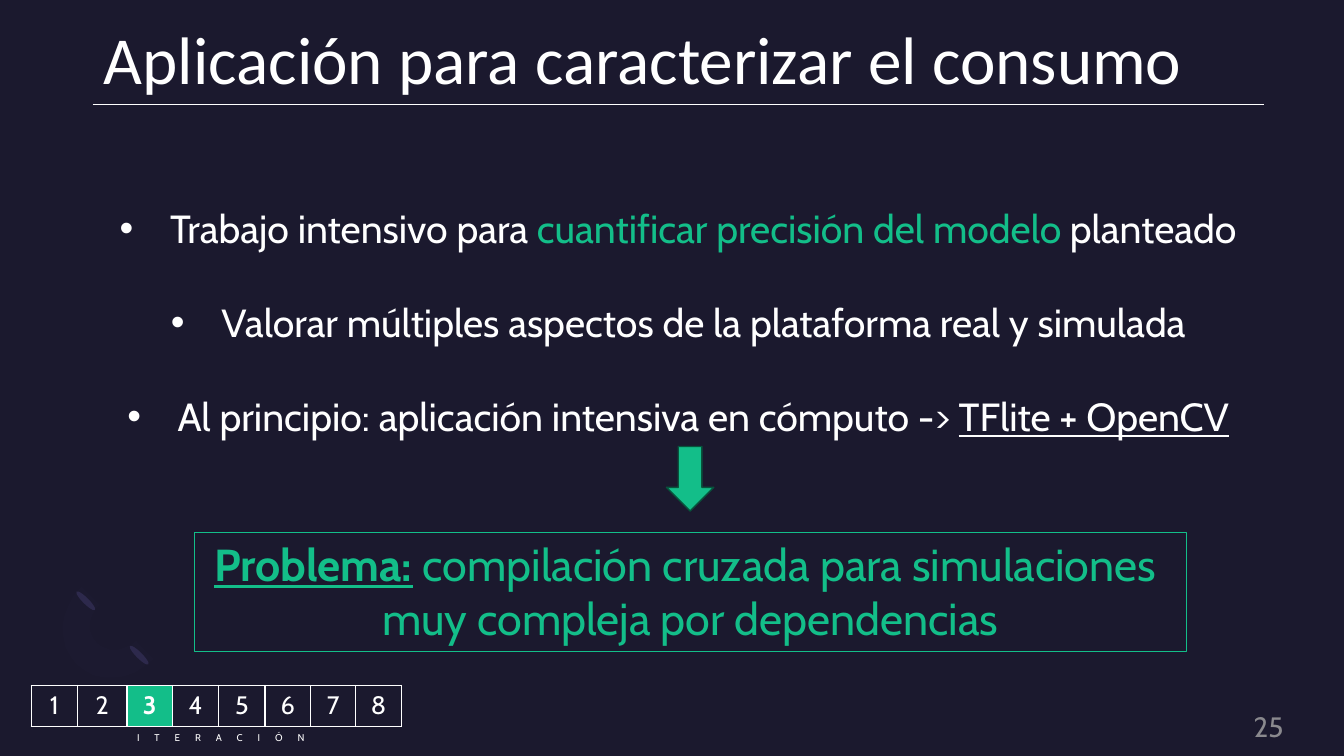
from lxml import etree
from pptx import Presentation
from pptx import util as u
from pptx.dml.color import RGBColor
from pptx.enum import shapes, text
from pptx.oxml.ns import qn

PX = 9144
COLOURS = {
    "night": "1B192E",
    "white": "FFFFFF",
    "green": "13BE89",
    "pine": "08533C",
    "grey": "A6A6A6",
    "violet": "2C284A",
    "lilac": "7771B2",
}
ALIGN = text.PP_ALIGN
FRAME = {"word_wrap": True, "auto_size": text.MSO_AUTO_SIZE.NONE}
FLUSH = dict.fromkeys(("margin_left", "margin_top", "margin_right", "margin_bottom"), 0)
COLUMNS = (46, 49, 45, 46, 46, 45, 45, 45)
CURRENT_ITERATION = 3
RING_START = (76, 659)
RING = (
    ((56, 639), (58, 605), (81, 582)),
    ((99, 600),),
    ((87, 611), (86, 629), (96, 638)),
    ((106, 648), (123, 647), (135, 636)),
    ((152, 654),),
    ((130, 676), (95, 679), (76, 659)),
)


def px(*lengths):
    return [u.Emu(length * PX) for length in lengths]


def rgb(name):
    return RGBColor.from_string(COLOURS[name])


def apply(target, values):
    for name, value in values.items():
        setattr(target, name, value)


def paint(fill, colour):
    if colour is None:
        fill.background()
    else:
        fill.solid()
        fill.fore_color.rgb = rgb(colour)


def fade(element, percent):
    for colour in element.iter(qn("a:srgbClr")):
        etree.SubElement(colour, qn("a:alpha"), val=str(percent * 1000))


def place(shape, box):
    apply(shape, dict(zip(("left", "top", "width", "height"), px(*box))))


def add_span(para, words, size, colour="white", font="Cabin", **extra):
    span = para.add_run()
    span.text = words
    apply(span.font, {"name": font, "size": u.Pt(size), **extra})
    span.font.color.rgb = rgb(colour)
    return span


def add_label(page, box, words, size, colour, align, **frame):
    label = page.shapes.add_textbox(*px(*box))
    apply(label.text_frame, {**FRAME, **frame})
    para = label.text_frame.paragraphs[0]
    para.alignment = align
    return label, add_span(para, words, size, colour)


def add_preset(page, kind, box, fill=None, line=None, weight=1, rotation=0):
    shape = page.shapes.add_shape(kind, *px(*box))
    shape.shadow.inherit = False
    shape.rotation = rotation
    paint(shape.fill, fill)
    paint(shape.line.fill, line)
    if line:
        shape.line.width = u.Pt(weight)
    return shape


def add_ring(page):
    points, pen = [], RING_START
    for segment in RING:
        if len(segment) == 1:
            points += segment
        else:
            curve = (pen, *segment)
            for step in range(1, 9):
                t = step / 8
                weights = ((1 - t) ** 3, 3 * t * (1 - t) ** 2, 3 * t * t * (1 - t), t ** 3)
                points.append(tuple(sum(w * p[axis] for w, p in zip(weights, curve)) for axis in (0, 1)))
        pen = segment[-1]
    builder = page.shapes.build_freeform(*RING_START, scale=PX)
    builder.add_line_segments(points, close=True)
    ring = builder.convert_to_shape()
    ring.shadow.inherit = False
    paint(ring.fill, "lilac")
    ring.line.fill.background()
    fade(ring.element, 2)


def add_title(page, words):
    title = page.shapes.title
    place(title, (103, 26, 1165, 71))
    apply(title.text_frame, {**FRAME, **FLUSH, "vertical_anchor": text.MSO_ANCHOR.TOP})
    para = title.text_frame.paragraphs[0]
    apply(para, {"alignment": ALIGN.LEFT, "line_spacing": 0.9})
    add_span(para, words, 48, font="Calibri")
    rule = page.shapes.add_connector(shapes.MSO_CONNECTOR.STRAIGHT, *px(92, 104, 1254, 104))
    rule.line.width = u.Pt(0.5)
    paint(rule.line.fill, "white")
    etree.SubElement(rule.element.spPr, qn("a:effectLst"))


def add_bullets(page, items):
    body = page.placeholders[1]
    place(body, (61, 151, 1223, 279))
    apply(body.text_frame, FRAME)
    for index, spans in enumerate(items):
        para = body.text_frame.add_paragraph() if index else body.text_frame.paragraphs[0]
        apply(para, {"alignment": ALIGN.CENTER, "line_spacing": 2.0, "space_before": u.Pt(0)})
        properties = para._p.get_or_add_pPr()
        properties.set("marL", str(50 * PX))
        properties.set("indent", str(-50 * PX))
        etree.SubElement(properties, qn("a:buFont"), typeface="Arial")
        etree.SubElement(properties, qn("a:buChar"), char="•")
        for words, values in spans:
            add_span(para, words, 28, **values)


def add_problem(page):
    add_preset(page, shapes.MSO_SHAPE.DOWN_ARROW, (661, 443, 47, 64), "green", "pine")
    box = add_preset(page, shapes.MSO_SHAPE.RECTANGLE, (193, 528, 984, 118), line="green", weight=0.75)
    apply(box.text_frame, {**FRAME, "vertical_anchor": text.MSO_ANCHOR.TOP})
    para = box.text_frame.paragraphs[0]
    para.alignment = ALIGN.CENTER
    add_span(para, "Problema:", 32, "green", bold=True, underline=True)
    add_span(para, " compilación cruzada para simulaciones ", 32, "green")
    para.add_line_break()
    add_span(para, "muy compleja por dependencias", 32, "green")


def add_borders(cell):
    properties = cell._tc.get_or_add_tcPr()
    for side in ("lnL", "lnR", "lnT", "lnB"):
        line = etree.SubElement(properties, qn(f"a:{side}"), w=str(u.Pt(1)))
        fill = etree.SubElement(line, qn("a:solidFill"))
        etree.SubElement(fill, qn("a:srgbClr"), val=COLOURS["white"])


def add_tracker(page):
    frame = page.shapes.add_table(1, len(COLUMNS), *px(31, 680, sum(COLUMNS), 40))
    table = frame.table
    apply(table, {"first_row": False, "horz_banding": False})
    for index, width in enumerate(COLUMNS):
        table.columns[index].width = px(width)[0]
        cell = table.cell(0, index)
        current = index + 1 == CURRENT_ITERATION
        add_borders(cell)
        paint(cell.fill, "green" if current else None)
        para = cell.text_frame.paragraphs[0]
        para.alignment = ALIGN.CENTER
        add_span(para, str(index + 1), 18, bold=current)
    caption, span = add_label(page, (36, 721, 366, 22), "ITERACIÓN", 7, "white", ALIGN.CENTER)
    span.font._element.set("spc", "1070")


def main():
    deck = Presentation()
    deck.slide_width, deck.slide_height = px(1333, 750)
    page = deck.slides.add_slide(deck.slide_layouts[1])
    paint(page.background.fill, "night")
    for left, top in ((135, 637), (82, 583)):
        add_preset(page, shapes.MSO_SHAPE.OVAL, (left, top, 6, 26), "violet", rotation=135)
    add_ring(page)
    number, span = add_label(page, (1088, 712, 185, 17), "25", 20, "grey", ALIGN.RIGHT,
                             vertical_anchor=text.MSO_ANCHOR.MIDDLE, **FLUSH)
    fade(number.element, 80)
    add_title(page, "Aplicación para caracterizar el consumo")
    add_bullets(page, (
        (("Trabajo intensivo para ", {}),
         ("cuantificar precisión del modelo", {"colour": "green"}),
         (" planteado", {})),
        (("Valorar múltiples aspectos de la plataforma real y simulada", {}),),
        (("Al principio: aplicación intensiva en cómputo -> ", {}),
         ("TFlite + OpenCV", {"underline": True})),
    ))
    add_problem(page)
    add_tracker(page)
    deck.save("out.pptx")


if __name__ == "__main__":
    main()
